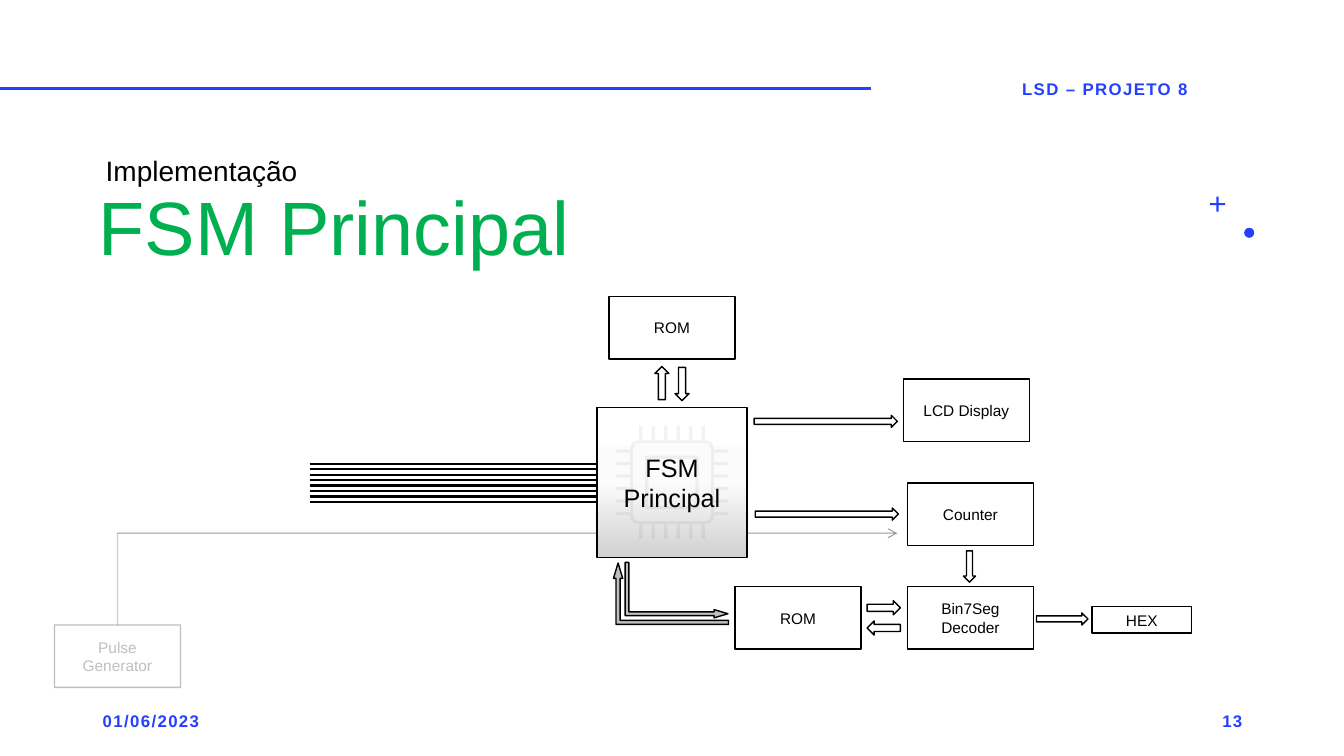
from copy import deepcopy
from math import cos, pi, sin

from lxml.etree import SubElement
from pptx import Presentation
from pptx.dml.color import RGBColor
from pptx.enum.shapes import MSO_CONNECTOR, MSO_SHAPE
from pptx.enum.text import MSO_ANCHOR, PP_ALIGN
from pptx.oxml.ns import qn
from pptx.util import Inches, Pt

BLUE = RGBColor(0x24, 0x3F, 0xFF)
GREEN = RGBColor(0x00, 0xB0, 0x50)
BLACK = RGBColor(0x00, 0x00, 0x00)
GRAY = RGBColor(0xBF, 0xBF, 0xBF)
GRADIENT = [(0, RGBColor(0xFF, 0xFF, 0xFF)), (0.5, RGBColor(0xFB, 0xFB, 0xFB)),
            (1, RGBColor(0xD1, 0xD1, 0xD1))]

# Content: labels, text, position and alignment
TITLE, SUBTITLE = "FSM Principal", "Implementação"
LABELS = [
    ("01/06/2023", 0.92, 6.95, 3, PP_ALIGN.LEFT),
    ("LSD – PROJETO 8", 8.71, 0.68, 4.5, PP_ALIGN.CENTER),
    ("13", 9.42, 6.95, 3, PP_ALIGN.RIGHT),
]

# Diagram grid
BOX_WIDTH, BOX_HEIGHT = 1.25, 0.62
FSM_LEFT, FSM_TOP, FSM_SIZE = 5.92, 4.04, 1.49
FSM_CENTER = (FSM_LEFT + FSM_SIZE / 2, FSM_TOP + FSM_SIZE / 2)
OUTPUT_COLUMN, BOTTOM_ROW = 9, 5.82
PULSE_LEFT, PULSE_TOP, PULSE_LINE_TOP = 0.54, 6.2, 5.29
INPUT_COUNT, INPUT_LEFT, INPUT_TOP, INPUT_BOTTOM = 8, 3.07, 4.6, 4.98

# Blocks: lines of text, left, top
BLOCKS = [
    (["ROM"], FSM_CENTER[0] - BOX_WIDTH / 2, 2.94),
    (["Counter"], OUTPUT_COLUMN, 4.79),
    (["ROM"], 7.29, BOTTOM_ROW),
    (["Bin7Seg", "Decoder"], OUTPUT_COLUMN, BOTTOM_ROW),
    (["LCD Display"], 8.96, 3.76),
]
# Block arrows: left, top, width, height, rotation
ARROWS = [
    (6.6, 3.74, 0.33, 0.14, 90),
    (6.4, 3.73, 0.33, 0.14, 270),
    (8.6, 6.16, 0.33, 0.14, 180),
    (8.6, 5.96, 0.33, 0.14, 0),
    (10.28, 6.08, 0.51, 0.12, 0),
    (7.49, 5.04, 1.42, 0.12, 0),
    (9.46, 5.56, 0.31, 0.12, 90),
    (7.48, 4.12, 1.42, 0.12, 0),
]
BENT_ADJUSTMENTS = (0.067, 0.075, 0.25, 0)

presentation = Presentation()
presentation.slide_width, presentation.slide_height = Inches(13.33), Inches(7.5)
slide = presentation.slides.add_slide(presentation.slide_layouts[5])
shapes = slide.shapes


def set_alpha(element, percent):
    for color in element.iter(qn("a:srgbClr")):
        SubElement(color, qn("a:alpha")).set("val", str(percent * 1000))


def write(shape, lines, size, color=BLACK, align=PP_ALIGN.CENTER,
          anchor=MSO_ANCHOR.MIDDLE, bold=False, spacing=None, line_spacing=None):
    frame = shape.text_frame
    frame.word_wrap = True
    frame.vertical_anchor = anchor
    for index, line in enumerate(lines):
        paragraph = frame.add_paragraph() if index else frame.paragraphs[0]
        paragraph.alignment = align
        paragraph.line_spacing = line_spacing
        run = paragraph.add_run()
        run.text = line
        font = run.font
        font.name, font.size, font.bold = "Arial", Pt(size), bold
        font.color.rgb = color
        if spacing:
            font._element.set("spc", str(spacing * 100))


def style(shape, fill=None, line=BLACK):
    shape.shadow.inherit = False
    if fill is None:
        shape.fill.background()
    else:
        shape.fill.solid()
        shape.fill.fore_color.rgb = fill
    if line is None:
        shape.line.fill.background()
    else:
        shape.line.color.rgb = line
        shape.line.width = Pt(1)
    return shape


def add_preset(kind, left, top, width, height, fill=None, line=BLACK):
    shape = shapes.add_shape(kind, Inches(left), Inches(top), Inches(width), Inches(height))
    return style(shape, fill, line)


def add_text(lines, left, top, width, height, size, **options):
    box = shapes.add_textbox(Inches(left), Inches(top), Inches(width), Inches(height))
    write(box, lines, size, **options)


def add_line(start, end, width, color=BLACK, alpha=None, arrow=False):
    points = [Inches(value) for value in (*start, *end)]
    connector = shapes.add_connector(MSO_CONNECTOR.STRAIGHT, *points)
    connector.line.color.rgb = color
    connector.line.width = Pt(width)
    outline = connector.line._get_or_add_ln()
    if alpha:
        set_alpha(outline, alpha)
    if arrow:
        SubElement(outline, qn("a:tailEnd")).set("type", "arrow")
    SubElement(connector._element.spPr, qn("a:effectLst"))


def rounded_corner(half, radius):
    """Top right corner, clockwise, relative to the chip centre."""
    angles = [pi / 2 * step / 6 for step in range(7)]
    return [(half - radius + radius * sin(a), -half + radius - radius * cos(a)) for a in angles]


def four_sides(points):
    """Repeat the top side around the centre by quarter turns."""
    outline = []
    for _ in range(4):
        outline += points
        points = [(-y, x) for x, y in points]
    return [(Inches(FSM_CENTER[0] + x), Inches(FSM_CENTER[1] + y)) for x, y in outline]


def add_chip():
    body, reach, pin, pitch = 0.415, 0.56, 0.03, 0.124
    top_side = []
    for index in range(6):
        left = (index - 2.5) * pitch - pin / 2
        right = left + pin
        top_side += [(left, -body), (left, -reach), (right, -reach), (right, -body)]
    outer = four_sides(top_side + rounded_corner(body, 0.08))
    hole = four_sides(rounded_corner(body - 0.03, 0.05))[::-1]
    builder = shapes.build_freeform(*outer[0], scale=1)
    builder.add_line_segments(outer[1:], close=True)
    builder.move_to(*hole[0])
    builder.add_line_segments(hole[1:], close=True)
    core = 0.53
    frame = add_preset(MSO_SHAPE.FRAME, FSM_CENTER[0] - core / 2, FSM_CENTER[1] - core / 2,
                       core, core, BLACK, None)
    frame.adjustments[0] = 0.06
    for part in (frame, style(builder.convert_to_shape(), BLACK, None)):
        set_alpha(part._element.spPr, 5)


# Header rule and ornaments
add_line((0, 0.88), (8.64, 0.88), 2, BLUE)
add_preset(MSO_SHAPE.OVAL, 12.34, 2.26, 0.1, 0.1, BLUE, None)
plus = add_preset(MSO_SHAPE.CROSS, 12, 1.95, 0.15, 0.15, BLUE, None)
plus.adjustments[0] = 0.43

# Title, subtitle and labels
title = shapes.title
title.left, title.top, title.width, title.height = map(Inches, (0.88, 1.46, 6.77, 1.29))
heading = dict(align=PP_ALIGN.LEFT, anchor=MSO_ANCHOR.BOTTOM, line_spacing=0.9)
write(title, [TITLE], 54, GREEN, **heading)
add_text([SUBTITLE], 0.95, 0.62, 6.77, 1.29, 20, **heading)
for text, left, top, width, align in LABELS:
    add_text([text], left, top, width, 0.4, 12, color=BLUE, align=align, bold=True, spacing=1)

# Faded pulse generator with its signal line
pulse_x = PULSE_LEFT + BOX_WIDTH / 2
add_line((pulse_x, PULSE_TOP), (pulse_x, PULSE_LINE_TOP), 1, alpha=20)
add_line((pulse_x, PULSE_LINE_TOP), (8.9, PULSE_LINE_TOP), 0.75, alpha=40, arrow=True)
pulse = add_preset(MSO_SHAPE.RECTANGLE, PULSE_LEFT, PULSE_TOP, BOX_WIDTH, BOX_HEIGHT)
set_alpha(pulse.line._get_or_add_ln(), 25)
write(pulse, ["Pulse Generator"], 11, GRAY)

# Main state machine with chip symbol
fsm = add_preset(MSO_SHAPE.RECTANGLE, FSM_LEFT, FSM_TOP, FSM_SIZE, FSM_SIZE)
fsm.fill.gradient()
fsm.fill.gradient_angle = 270
stop_list = fsm._element.spPr.find(".//" + qn("a:gsLst"))
stop_list.append(deepcopy(stop_list[-1]))
for stop, (position, color) in zip(fsm.fill.gradient_stops, GRADIENT):
    stop.position, stop.color.rgb = position, color
write(fsm, ["FSM Principal"], 18)
add_chip()

# Input bus
input_gap = (INPUT_BOTTOM - INPUT_TOP) / (INPUT_COUNT - 1)
for index in range(INPUT_COUNT):
    y = INPUT_TOP + index * input_gap
    add_line((INPUT_LEFT, y), (FSM_LEFT, y), 1.5)

# Blocks and arrows
for lines, left, top in BLOCKS:
    write(add_preset(MSO_SHAPE.RECTANGLE, left, top, BOX_WIDTH, BOX_HEIGHT), lines, 11)
write(add_preset(MSO_SHAPE.RECTANGLE, 10.83, 6.02, 0.99, 0.26), ["HEX"], 11)
for *place, rotation in ARROWS:
    add_preset(MSO_SHAPE.RIGHT_ARROW, *place).rotation = rotation

# Bent arrows between the state machine and the lower ROM
to_fsm = add_preset(MSO_SHAPE.BENT_ARROW, 6.35, 5.32, 0.61, 1.14, GRAY)
to_fsm.rotation = 270
to_rom = add_preset(MSO_SHAPE.BENT_ARROW, 6.2, 5.58, 1.02, 0.55, GRAY)
to_rom._element.spPr.xfrm.set("flipV", "1")
for bent in (to_fsm, to_rom):
    for index, value in enumerate(BENT_ADJUSTMENTS):
        bent.adjustments[index] = value

presentation.save("out.pptx")
